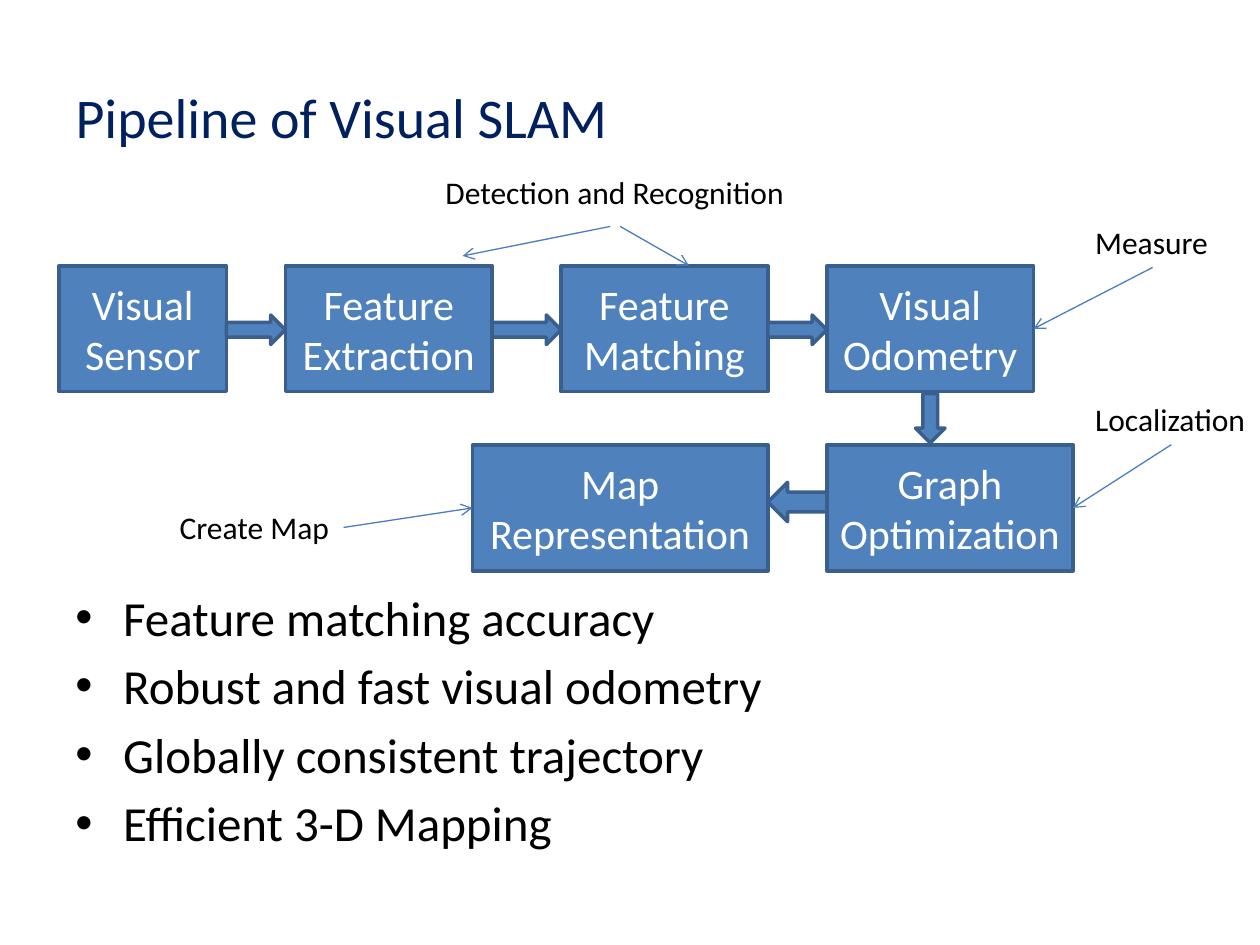
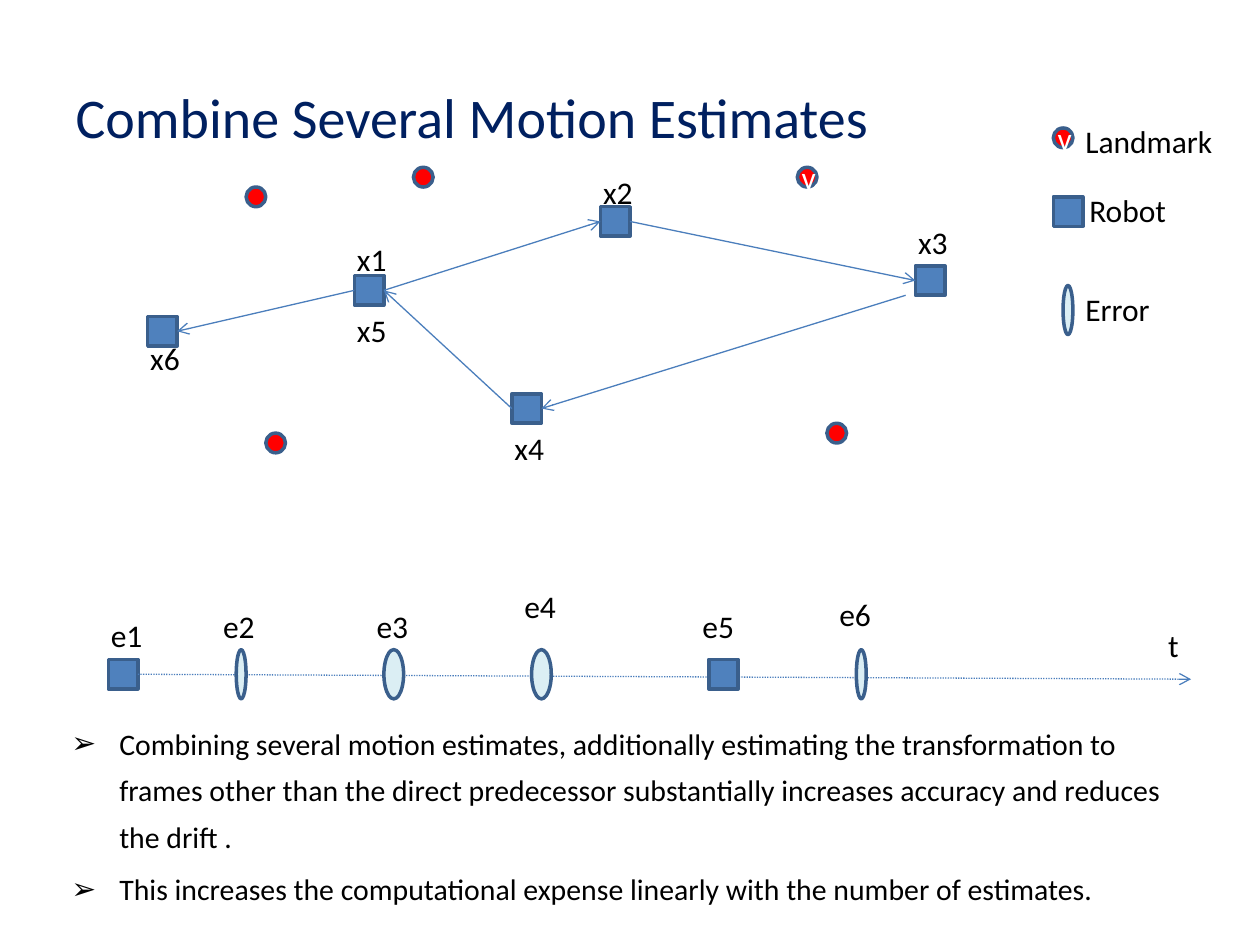
from dataclasses import dataclass

from lxml.etree import SubElement
from pptx import Presentation
from pptx.dml.color import RGBColor
from pptx.enum.dml import MSO_LINE
from pptx.enum.shapes import MSO_CONNECTOR, MSO_SHAPE
from pptx.enum.text import MSO_ANCHOR, MSO_AUTO_SIZE, PP_ALIGN
from pptx.oxml.ns import qn
from pptx.util import Inches, Pt


@dataclass(frozen=True)
class Theme:
    font: str = "Calibri"
    title_color: str = "002060"
    text_color: str = "000000"
    inverse_color: str = "FFFFFF"
    block_fill: str = "4F81BD"
    outline: str = "3A5F8C"
    arrow_color: str = "4B7EBC"
    landmark_fill: str = "FF0000"
    error_fill: str = "DBEEF4"
    title_size: int = 32
    block_size: int = 24
    label_size: int = 18
    outline_width: float = 2
    arrow_width: float = 0.75


THEME = Theme()
SLIDE_WIDTH, SLIDE_HEIGHT = Inches(10), Inches(7.5)
CELL = SLIDE_WIDTH / 128  # every length below counts these grid cells
TITLE_AREA = (6.4, 3.84, 115.2, 16)
LABEL_HEIGHT = 5.17
BULLET_INDENT = Inches(0.38)
TOP, LEFT, BOTTOM, RIGHT = range(4)

# Pipeline slide: name -> (column, row, width)
PIPELINE_TITLE = "Pipeline of Visual SLAM"
BLOCK_HEIGHT = 12.8
UPPER_ROW, LOWER_ROW = 27, 45.2
BLOCKS = {
    "Visual Sensor": (6, UPPER_ROW, 17),
    "Feature Extraction": (29, UPPER_ROW, 21),
    "Feature Matching": (57, UPPER_ROW, 21),
    "Visual Odometry": (84, UPPER_ROW, 21),
    "Graph Optimization": (84, LOWER_ROW, 25),
    "Map Representation": (48, LOWER_ROW, 30),
}
# Label -> (column, row, width)
PIPELINE_LABELS = {
    "Detection and Recognition": (44, 17, 37.4),
    "Measure": (110, 22, 14.2),
    "Localization": (110, 40, 18),
    "Create Map": (17, 51, 17.9),
}
# (label, its side, block, its side)
LABEL_ARROWS = [
    ("Measure", BOTTOM, "Visual Odometry", RIGHT),
    ("Localization", BOTTOM, "Graph Optimization", RIGHT),
    ("Create Map", RIGHT, "Map Representation", LEFT),
]
DETECTION_ARROWS = [((62, 23), (47, 26)), ((63, 23), (70, 27))]
PIPELINE_POINTS = [
    "Feature matching accuracy",
    "Robust and fast visual odometry",
    "Globally consistent trajectory",
    "Efficient 3-D Mapping",
]

# Motion slide: places are (column, row)
MOTION_TITLE = "Combine Several Motion Estimates"
ROBOT_SIZE, LANDMARK_SIZE, ERROR_HEIGHT = 3, 2, 5
ROBOTS = {"x1": (36, 28), "x2": (61, 21), "x3": (93, 27), "x4": (52, 40), "x6": (15, 32.15)}
MOVES = [
    ("x1", RIGHT, "x2", LEFT),
    ("x2", RIGHT, "x3", LEFT),
    ("x4", LEFT, "x1", RIGHT),
    ("x1", LEFT, "x6", RIGHT),
]
LOOSE_MOVE_START = (92, 30)
LANDMARKS = [(42, 17, ""), (25, 19, ""), (81, 17, "v"), (27, 44, ""), (84, 43, "")]
TIMELINE_ROBOTS = [(11, 67), (72, 67)]
TIMELINE_END = (121, 69)
ERROR_ROW = 66
TIMELINE_ERRORS = [(24, 1), (39, 2), (54, 2), (87, 1)]  # (column, width)
POSE_LABELS = {
    "x1": (35, 23.8), "x2": (60, 17), "x3": (92, 22),
    "x4": (51, 43), "x5": (35, 31), "x6": (14, 33.8),
}
ERROR_LABELS = {
    "e1": (10, 62), "e2": (21.4, 61), "e3": (37, 61),
    "e4": (52, 59), "e5": (70.1, 61), "e6": (84, 59.8),
}
OTHER_LABELS = {
    "t": (117.4, 63, 3.7),
    "Landmark": (109, 11.8, 15.6),
    "Robot": (109.4, 18.8, 10.5),
    "Error": (109, 28.8, 9.2),
}
MOTION_POINTS = [
    "Combining several motion estimates, additionally estimating the transformation to frames "
    "other than the direct predecessor substantially increases accuracy and reduces the drift .",
    "This increases the computational expense linearly with the number of estimates.",
]


def grid(*cells):
    return [round(cell * CELL) for cell in cells]


def color(value):
    return RGBColor.from_string(value)


def write(paragraph, text, size=THEME.label_size, ink=THEME.text_color, align=PP_ALIGN.LEFT):
    paragraph.alignment = align
    run = paragraph.add_run()
    run.text = text
    run.font.name = THEME.font
    run.font.size = Pt(size)
    run.font.color.rgb = color(ink)


def add_titled_slide(presentation, title):
    slide = presentation.slides.add_slide(presentation.slide_layouts[5])
    shape = slide.shapes.title
    shape.left, shape.top, shape.width, shape.height = grid(*TITLE_AREA)
    shape.text_frame.vertical_anchor = MSO_ANCHOR.MIDDLE
    write(shape.text_frame.paragraphs[0], title, size=THEME.title_size, ink=THEME.title_color)
    return slide


def add_bullets(slide, points, area, size, bullet, line_spacing=1.0):
    frame = slide.shapes.add_textbox(*grid(*area)).text_frame
    frame.word_wrap = True
    for index, point in enumerate(points):
        paragraph = frame.add_paragraph() if index else frame.paragraphs[0]
        write(paragraph, point, size=size)
        paragraph.line_spacing = line_spacing
        paragraph.space_before = Pt(size * 0.2)
        properties = paragraph._p.get_or_add_pPr()
        properties.set("marL", str(BULLET_INDENT))
        properties.set("indent", str(-BULLET_INDENT))
        SubElement(properties, qn("a:buFont"), typeface="Arial")
        SubElement(properties, qn("a:buChar"), char=bullet)


def add_label(slide, text, column, row, width):
    shape = slide.shapes.add_textbox(*grid(column, row, width, LABEL_HEIGHT))
    shape.text_frame.word_wrap = False
    shape.text_frame.auto_size = MSO_AUTO_SIZE.SHAPE_TO_FIT_TEXT
    write(shape.text_frame.paragraphs[0], text)
    return shape


def add_figure(slide, kind, area, fill=THEME.block_fill, text="", size=THEME.label_size):
    shape = slide.shapes.add_shape(kind, *grid(*area))
    shape.shadow.inherit = False
    shape.fill.solid()
    shape.fill.fore_color.rgb = color(fill)
    shape.line.color.rgb = color(THEME.outline)
    shape.line.width = Pt(THEME.outline_width)
    if text:
        shape.text_frame.vertical_anchor = MSO_ANCHOR.MIDDLE
        write(shape.text_frame.paragraphs[0], text, size=size,
              ink=THEME.inverse_color, align=PP_ALIGN.CENTER)
    return shape


def add_arrow(slide, start, end, dash=None):
    """Draw an arrow; each end is a grid point or a (shape, side) pair to join."""
    points = [grid(*point) if isinstance(point[0], (int, float)) else (0, 0)
              for point in (start, end)]
    connector = slide.shapes.add_connector(MSO_CONNECTOR.STRAIGHT, *points[0], *points[1])
    for point, join in ((start, connector.begin_connect), (end, connector.end_connect)):
        if not isinstance(point[0], (int, float)):
            join(*point)
    connector.line.color.rgb = color(THEME.arrow_color)
    connector.line.width = Pt(THEME.arrow_width)
    if dash:
        connector.line.dash_style = dash
    SubElement(connector.line._get_or_add_ln(), qn("a:tailEnd"), type="arrow")
    SubElement(connector._element.spPr, qn("a:effectLst"))


def add_robot(slide, column, row):
    return add_figure(slide, MSO_SHAPE.RECTANGLE, (column, row, ROBOT_SIZE, ROBOT_SIZE))


def add_landmark(slide, column, row, text=""):
    add_figure(slide, MSO_SHAPE.OVAL, (column, row, LANDMARK_SIZE, LANDMARK_SIZE),
               fill=THEME.landmark_fill, text=text)


def add_error(slide, column, row, width):
    add_figure(slide, MSO_SHAPE.OVAL, (column, row, width, ERROR_HEIGHT), fill=THEME.error_fill)


def add_block_arrows(slide):
    """Fill the gap between each block and the next with a block arrow."""
    places = list(BLOCKS.values())
    for (column, row, width), (next_column, next_row, next_width) in zip(places, places[1:]):
        if next_row > row:
            kind, area = MSO_SHAPE.DOWN_ARROW, (column + width / 2 - 1.5, 40, 3, 5)
        elif next_column > column:
            end = column + width
            kind, area = MSO_SHAPE.RIGHT_ARROW, (end, row + 5, next_column - end, 3)
        else:
            end = next_column + next_width
            kind, area = MSO_SHAPE.LEFT_ARROW, (end, row + 3.8, column - end, 4)
        add_figure(slide, kind, area)


def build_pipeline_slide(presentation):
    slide = add_titled_slide(presentation, PIPELINE_TITLE)
    add_bullets(slide, PIPELINE_POINTS, (6.4, 59, 115.2, 28.5), size=28, bullet="•")
    blocks = {
        name: add_figure(slide, MSO_SHAPE.RECTANGLE, (*place, BLOCK_HEIGHT),
                         text=name, size=THEME.block_size)
        for name, place in BLOCKS.items()
    }
    add_block_arrows(slide)
    labels = {text: add_label(slide, text, *place) for text, place in PIPELINE_LABELS.items()}
    for start, end in DETECTION_ARROWS:
        add_arrow(slide, start, end)
    for label, label_side, block, block_side in LABEL_ARROWS:
        add_arrow(slide, (labels[label], label_side), (blocks[block], block_side))


def build_motion_slide(presentation):
    slide = add_titled_slide(presentation, MOTION_TITLE)
    add_bullets(slide, MOTION_POINTS, (6, 72, 115.2, 21), size=17, bullet="➢", line_spacing=1.3)

    robots = {name: add_robot(slide, *place) for name, place in ROBOTS.items()}
    for start, start_side, end, end_side in MOVES:
        add_arrow(slide, (robots[start], start_side), (robots[end], end_side))
    add_arrow(slide, LOOSE_MOVE_START, (robots["x4"], RIGHT))
    for landmark in LANDMARKS:
        add_landmark(slide, *landmark)

    first, later = TIMELINE_ROBOTS
    add_arrow(slide, (add_robot(slide, *first), RIGHT), TIMELINE_END, dash=MSO_LINE.ROUND_DOT)
    add_robot(slide, *later)
    for column, width in TIMELINE_ERRORS:
        add_error(slide, column, ERROR_ROW, width)

    add_landmark(slide, 107, 13, "v")
    add_robot(slide, 107, 20)
    add_error(slide, 108, 29, 1)

    for labels, width in ((POSE_LABELS, 5.6), (ERROR_LABELS, 5.9)):
        for text, place in labels.items():
            add_label(slide, text, *place, width)
    for text, place in OTHER_LABELS.items():
        add_label(slide, text, *place)


def main():
    presentation = Presentation()
    presentation.slide_width, presentation.slide_height = SLIDE_WIDTH, SLIDE_HEIGHT
    build_pipeline_slide(presentation)
    build_motion_slide(presentation)
    presentation.save("out.pptx")


if __name__ == "__main__":
    main()
